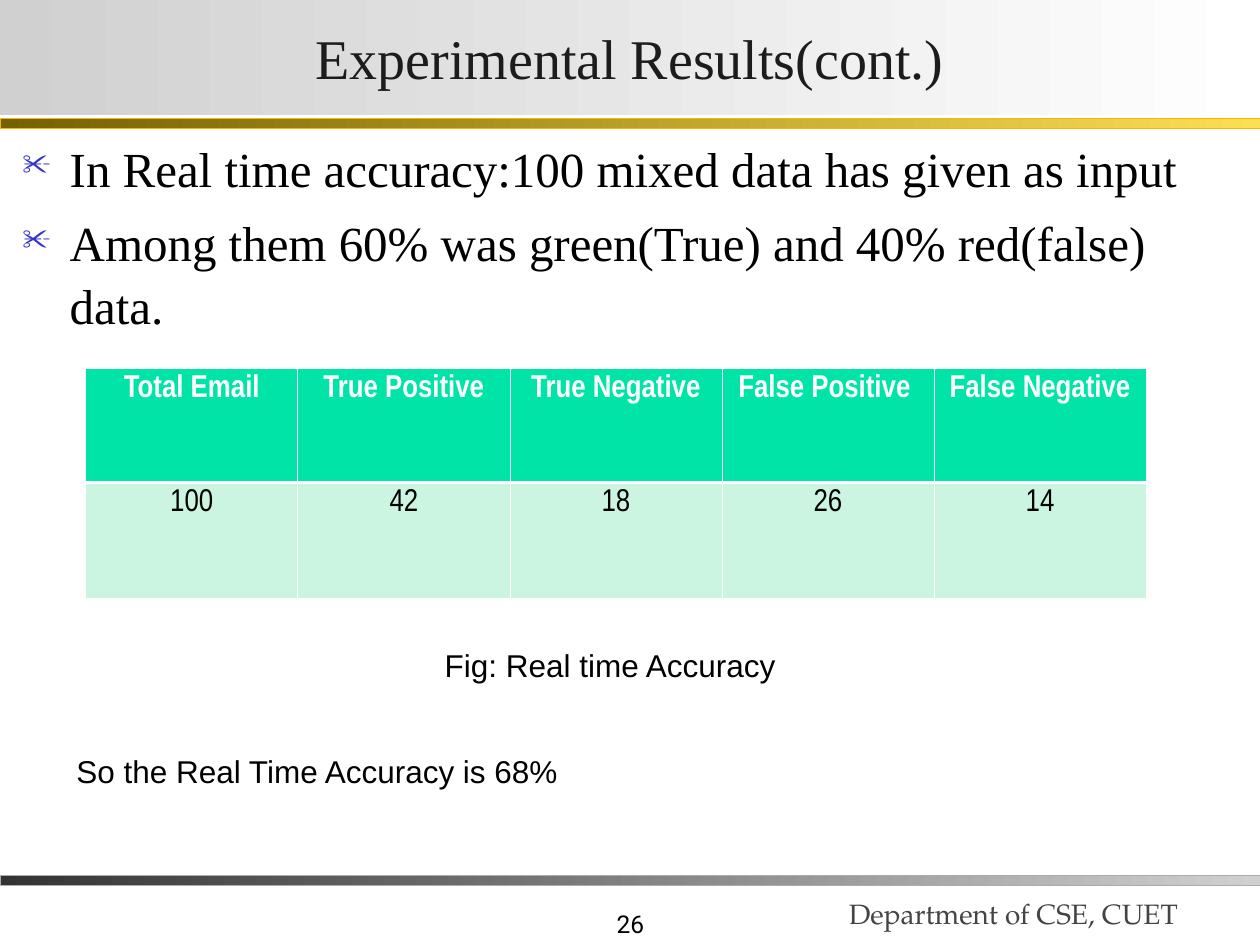
from lxml.etree import SubElement
from pptx import Presentation
from pptx.dml.color import RGBColor
from pptx.enum.shapes import MSO_SHAPE
from pptx.enum.text import MSO_ANCHOR, PP_ALIGN
from pptx.oxml.ns import qn
from pptx.util import Pt

BLACK = RGBColor(0x00, 0x00, 0x00)
WHITE = RGBColor(0xFF, 0xFF, 0xFF)
TITLE_INK = RGBColor(0x1C, 0x1C, 0x1C)
FOOTER_INK = RGBColor(0x44, 0x44, 0x44)
SILVER = RGBColor(0xD0, 0xD0, 0xD0)
CHARCOAL = RGBColor(0x33, 0x33, 0x33)
GREY_EDGE = RGBColor(0xAB, 0xAB, 0xAB)
DARK_GOLD = RGBColor(0x76, 0x60, 0x00)
GOLD = RGBColor(0xFF, 0xDE, 0x53)
GOLD_EDGE = RGBColor(0xE8, 0xBC, 0x00)
HEADER_GREEN = RGBColor(0x00, 0xE4, 0xA8)
PALE_GREEN = RGBColor(0xCB, 0xF5, 0xE1)
BULLET_BLUE = RGBColor(0x33, 0x33, 0xCC)

POINTS = (
    "In Real time accuracy:100 mixed data has given as input",
    "Among them 60% was green(True) and 40% red(false) data.",
)
RESULTS = (
    ("Total Email", "True Positive", "True Negative", "False Positive ", "False Negative"),
    ("100", "42", "18", "26", "14"),
)


def style_font(font, name, size, color, bold=False):
    """Set the typeface, size, colour and weight of a font."""
    font.name = name
    font.size = Pt(size)
    font.color.rgb = color
    font.bold = bold


def fill_gradient(fill, start, end):
    """Fill with a gradient running from left to right."""
    fill.gradient()
    fill.gradient_angle = 0
    for stop, color in zip(fill.gradient_stops, (start, end)):
        stop.color.rgb = color


def add_title(slide, text):
    """Place the title in its shaded band."""
    title = slide.shapes.title
    title.left, title.top, title.width, title.height = Pt(0), Pt(0), Pt(720), Pt(65.5)
    fill_gradient(title.fill, SILVER, WHITE)
    frame = title.text_frame
    frame.text = text
    frame.vertical_anchor = MSO_ANCHOR.MIDDLE
    frame.margin_left = frame.margin_right = Pt(1.5)
    frame.margin_top = frame.margin_bottom = Pt(0.75)
    paragraph = frame.paragraphs[0]
    paragraph.alignment = PP_ALIGN.CENTER
    style_font(paragraph.runs[0].font, "Times New Roman", 32, TITLE_INK)


def add_bar(slide, top, start, end, edge):
    """Draw a thin full-width gradient bar."""
    bar = slide.shapes.add_shape(MSO_SHAPE.RECTANGLE, Pt(0), Pt(top), Pt(720), Pt(5.75))
    bar.shadow.inherit = False
    fill_gradient(bar.fill, start, end)
    bar.line.color.rgb = edge
    bar.line.width = Pt(0.25)


def add_label(slide, text, box, font, size, color=BLACK,
              align=PP_ALIGN.LEFT, anchor=MSO_ANCHOR.TOP, wrap=False):
    """Add a single line of text."""
    label = slide.shapes.add_textbox(*map(Pt, box))
    frame = label.text_frame
    frame.text = text
    frame.word_wrap = wrap
    frame.vertical_anchor = anchor
    paragraph = frame.paragraphs[0]
    paragraph.alignment = align
    style_font(paragraph.runs[0].font, font, size, color)


def add_bullet(paragraph):
    """Give a paragraph a hanging scissors bullet."""
    properties = paragraph._p.get_or_add_pPr()
    properties.set("marL", str(Pt(27)))
    properties.set("indent", str(-Pt(27)))
    color = SubElement(properties, qn("a:buClr"))
    SubElement(color, qn("a:srgbClr"), val=str(BULLET_BLUE))
    SubElement(properties, qn("a:buSzPct"), val="60000")
    SubElement(properties, qn("a:buChar"), char="✂")


def add_points(slide, points):
    """Add the bulleted statements."""
    body = slide.shapes.add_textbox(Pt(5.75), Pt(73.5), Pt(702), Pt(412.5))
    frame = body.text_frame
    frame.word_wrap = True
    frame.text = "\n".join(points)
    for index, paragraph in enumerate(frame.paragraphs):
        add_bullet(paragraph)
        paragraph.line_spacing = 1.06
        if index:
            paragraph.space_before = Pt(7)
        style_font(paragraph.runs[0].font, "Times New Roman", 28, BLACK)


def set_borders(cell, top, bottom):
    """Draw white cell borders with the given top and bottom widths."""
    properties = cell._tc.get_or_add_tcPr()
    widths = {"a:lnL": 0.45, "a:lnR": 0.45, "a:lnT": top, "a:lnB": bottom}
    for position, (tag, width) in enumerate(widths.items()):
        border = properties.makeelement(qn(tag), {"w": str(Pt(width))})
        properties.insert(position, border)
        solid = SubElement(border, qn("a:solidFill"))
        SubElement(solid, qn("a:srgbClr"), val=str(WHITE))


def add_results_table(slide, results):
    """Add the table of classification counts."""
    table = slide.shapes.add_table(
        len(results), len(results[0]), Pt(49), Pt(210.25), Pt(606), Pt(131.75)).table
    for column in table.columns:
        column.width = Pt(121.2)
    for row, height in zip(table.rows, (65.5, 66.25)):
        row.height = Pt(height)
    looks = ((HEADER_GREEN, WHITE, True, 0.45, 1.47), (PALE_GREEN, BLACK, False, 1.47, 0.45))
    for row, values, (fill, ink, bold, top, bottom) in zip(table.rows, results, looks):
        for cell, value in zip(row.cells, values):
            cell.text = value
            cell.fill.solid()
            cell.fill.fore_color.rgb = fill
            set_borders(cell, top, bottom)
            paragraph = cell.text_frame.paragraphs[0]
            paragraph.alignment = PP_ALIGN.CENTER
            style_font(paragraph.runs[0].font, "Arial Narrow", 18, ink, bold)


def main():
    """Build and save the results slide."""
    presentation = Presentation()
    presentation.slide_width, presentation.slide_height = Pt(720), Pt(540)
    slide = presentation.slides.add_slide(presentation.slide_layouts[5])
    add_label(slide, "26", (225.5, 504, 149.75, 36), "Roboto", 14,
              align=PP_ALIGN.RIGHT, anchor=MSO_ANCHOR.BOTTOM, wrap=True)
    add_label(slide, "Department of CSE, CUET", (478, 489.5, 247.75, 45.5),
              "TeX Gyre Pagella", 16, FOOTER_INK, anchor=MSO_ANCHOR.BOTTOM, wrap=True)
    add_bar(slide, 500.25, CHARCOAL, SILVER, GREY_EDGE)
    add_bar(slide, 67.5, DARK_GOLD, GOLD, GOLD_EDGE)
    add_title(slide, "Experimental Results(cont.)")
    add_points(slide, POINTS)
    add_results_table(slide, RESULTS)
    add_label(slide, "Fig: Real time Accuracy", (247, 365.75, 209.5, 29), "Arial", 18)
    add_label(slide, "So the Real Time Accuracy is 68%", (36.5, 426.25, 291.5, 29), "Arial", 18)
    presentation.save("out.pptx")


if __name__ == "__main__":
    main()
